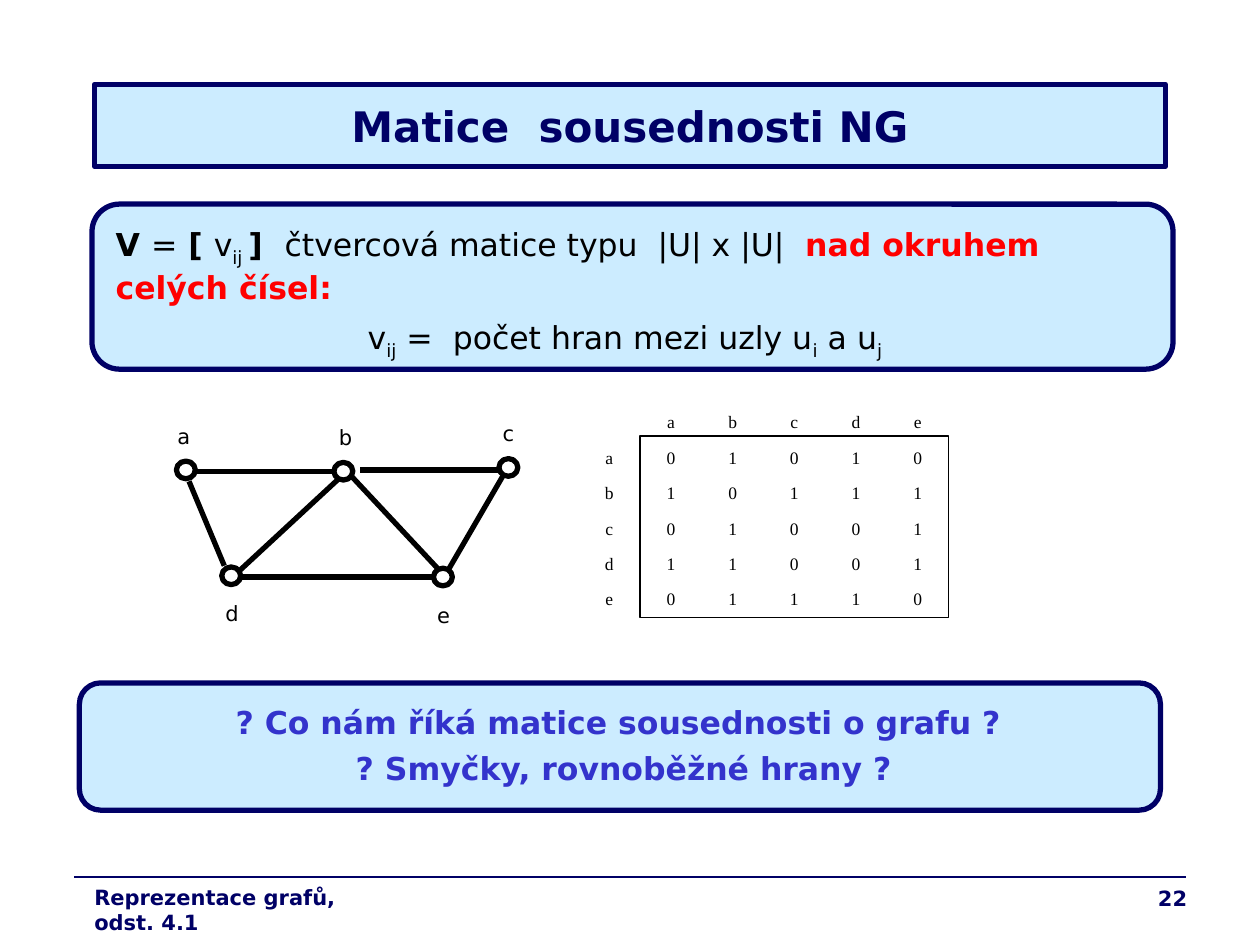
from lxml.etree import SubElement
from pptx import Presentation
from pptx.dml.color import RGBColor
from pptx.enum.shapes import MSO_CONNECTOR, MSO_SHAPE
from pptx.enum.text import MSO_ANCHOR, PP_ALIGN
from pptx.oxml.ns import qn
from pptx.util import Pt

PX = 9144  # 100 px to the inch
NAVY = RGBColor(0x00, 0x00, 0x66)
SKY = RGBColor(0xCC, 0xEC, 0xFF)
BLUE = RGBColor(0x33, 0x33, 0xCC)
RED = RGBColor(0xFF, 0x00, 0x00)
BLACK = RGBColor(0x00, 0x00, 0x00)
WHITE = RGBColor(0xFF, 0xFF, 0xFF)
SANS = "DejaVu Sans"
SERIF = "Times New Roman"
NO_GRID_STYLE = "{2D5ABB26-0587-4C30-8999-92F81FD0307C}"

deck = Presentation()
deck.slide_width = 1000 * PX
deck.slide_height = 750 * PX
page = deck.slides.add_slide(deck.slide_layouts[6])


def add_outlined(kind, place, fill, line, width):
    """Add a preset shape; a fill of None leaves it open."""
    shape = page.shapes.add_shape(kind, *(n * PX for n in place))
    shape.shadow.inherit = False
    if fill is None:
        shape.fill.background()
    else:
        shape.fill.solid()
        shape.fill.fore_color.rgb = fill
    shape.line.color.rgb = line
    shape.line.width = Pt(width)
    return shape


def write(para, text, size, color=BLACK, bold=False, font=SANS, sub=False):
    span = para.add_run()
    span.text = text
    span.font.size = Pt(size)
    span.font.name = font
    span.font.bold = bold
    span.font.color.rgb = color
    if sub:
        span.font._element.set("baseline", "-25000")


# Title and panels
title = add_outlined(MSO_SHAPE.RECTANGLE, (75, 67, 850, 65), SKY, NAVY, 3)
title.text_frame.vertical_anchor = MSO_ANCHOR.MIDDLE
para = title.text_frame.paragraphs[0]
para.alignment = PP_ALIGN.CENTER
write(para, "Matice  sousednosti NG", 24, NAVY, True)

for place in ((73, 162, 858, 131), (63, 542, 858, 101)):
    add_outlined(MSO_SHAPE.ROUNDED_RECTANGLE, place, SKY, NAVY, 3)

# Definition: (text, bold, subscript, colour)
definition = [
    [("V ", True, False, BLACK), ("=", False, False, BLACK),
     (" [ ", True, False, BLACK), ("v", False, False, BLACK),
     ("ij ", False, True, BLACK), ("]  ", True, False, BLACK),
     ("čtvercová matice typu  |U| x |U|  ", False, False, BLACK),
     ("nad okruhem celých čísel:", True, False, RED)],
    [("v", False, False, BLACK), ("ij", False, True, BLACK),
     (" =  počet hran mezi uzly u", False, False, BLACK),
     ("i", False, True, BLACK), (" a u", False, False, BLACK),
     ("j", False, True, BLACK)],
]
box = page.shapes.add_textbox(82 * PX, 174 * PX, 843 * PX, 118 * PX)
box.text_frame.word_wrap = True
for number, spans in enumerate(definition):
    para = box.text_frame.add_paragraph() if number else box.text_frame.paragraphs[0]
    para.space_after = Pt(2.2)
    if number:
        para.space_before = Pt(4.5)
        para._p.get_or_add_pPr().set("marL", str(200 * PX))
    for text, bold, sub, color in spans:
        write(para, text, 18, color, bold, sub=sub)

# Questions
box = page.shapes.add_textbox(76 * PX, 553 * PX, 838 * PX, 77 * PX)
box.text_frame.word_wrap = True
questions = ("? Co nám říká matice sousednosti o grafu ? ",
             "? Smyčky, rovnoběžné hrany ?")
for number, question in enumerate(questions):
    para = box.text_frame.add_paragraph() if number else box.text_frame.paragraphs[0]
    para.alignment = PP_ALIGN.CENTER
    if number:
        para.space_before = Pt(4.5)
    write(para, question, 18, BLUE, True)

# Graph edges and the footer rule: ends, colour, width
lines = [
    ((190, 453, 271, 378), BLACK, 3),
    ((279, 378, 350, 454), BLACK, 3),
    ((344, 458, 191, 458), BLACK, 3),
    ((156, 374, 265, 374), BLACK, 3),
    ((286, 373, 395, 373), BLACK, 3),
    ((399, 378, 356, 452), BLACK, 3),
    ((178, 449, 150, 382), BLACK, 3),
    ((59, 696, 941, 696), NAVY, 0.75),
]
for ends, color, width in lines:
    line = page.shapes.add_connector(MSO_CONNECTOR.STRAIGHT, *(n * PX for n in ends))
    line.line.color.rgb = color
    line.line.width = Pt(width)
    SubElement(line._element.spPr, qn("a:effectLst"))

# Graph nodes: name, corner of the node, corner of its label
nodes = [
    ("a", (140, 366), (131, 331)),
    ("b", (265, 367), (259, 332)),
    ("c", (396, 364), (389, 329)),
    ("d", (176, 450), (169, 472)),
    ("e", (344, 451), (337, 473)),
]
for name, corner, label_corner in nodes:
    add_outlined(MSO_SHAPE.OVAL, (*corner, 15, 14), WHITE, BLACK, 3)
    label = page.shapes.add_textbox(*(n * PX for n in label_corner), 29 * PX, 30 * PX)
    label.text_frame.word_wrap = True
    write(label.text_frame.paragraphs[0], name, 12)

# Adjacency matrix
matrix = [" abcde", "a01010", "b10111", "c01001", "d11001", "e01110"]
COLUMN, ROW = 49, 28
frame = page.shapes.add_table(6, 6, 459 * PX, 320 * PX, 6 * COLUMN * PX, 6 * ROW * PX)
table = frame.table
table.first_row = False
table.horz_banding = False
table._tbl.tblPr.find(qn("a:tableStyleId")).text = NO_GRID_STYLE
for column in table.columns:
    column.width = COLUMN * PX
for row, values in zip(table.rows, matrix):
    row.height = ROW * PX
    for cell, value in zip(row.cells, values):
        cell.fill.background()
        cell.margin_top = cell.margin_bottom = 0
        cell.vertical_anchor = MSO_ANCHOR.MIDDLE
        para = cell.text_frame.paragraphs[0]
        para.alignment = PP_ALIGN.CENTER
        write(para, value.strip(), 10, font=SERIF)
add_outlined(MSO_SHAPE.RECTANGLE, (508, 346, 245, 144), None, BLACK, 0.75)

# Footer
footer = [
    ("Reprezentace grafů, odst. 4.1", (65, 697, 261, 30), PP_ALIGN.LEFT),
    ("22", (744, 698, 208, 36), PP_ALIGN.RIGHT),
]
for text, place, alignment in footer:
    box = page.shapes.add_textbox(*(n * PX for n in place))
    box.text_frame.word_wrap = True
    para = box.text_frame.paragraphs[0]
    para.alignment = alignment
    write(para, text, 12, NAVY, True)

deck.save("out.pptx")
